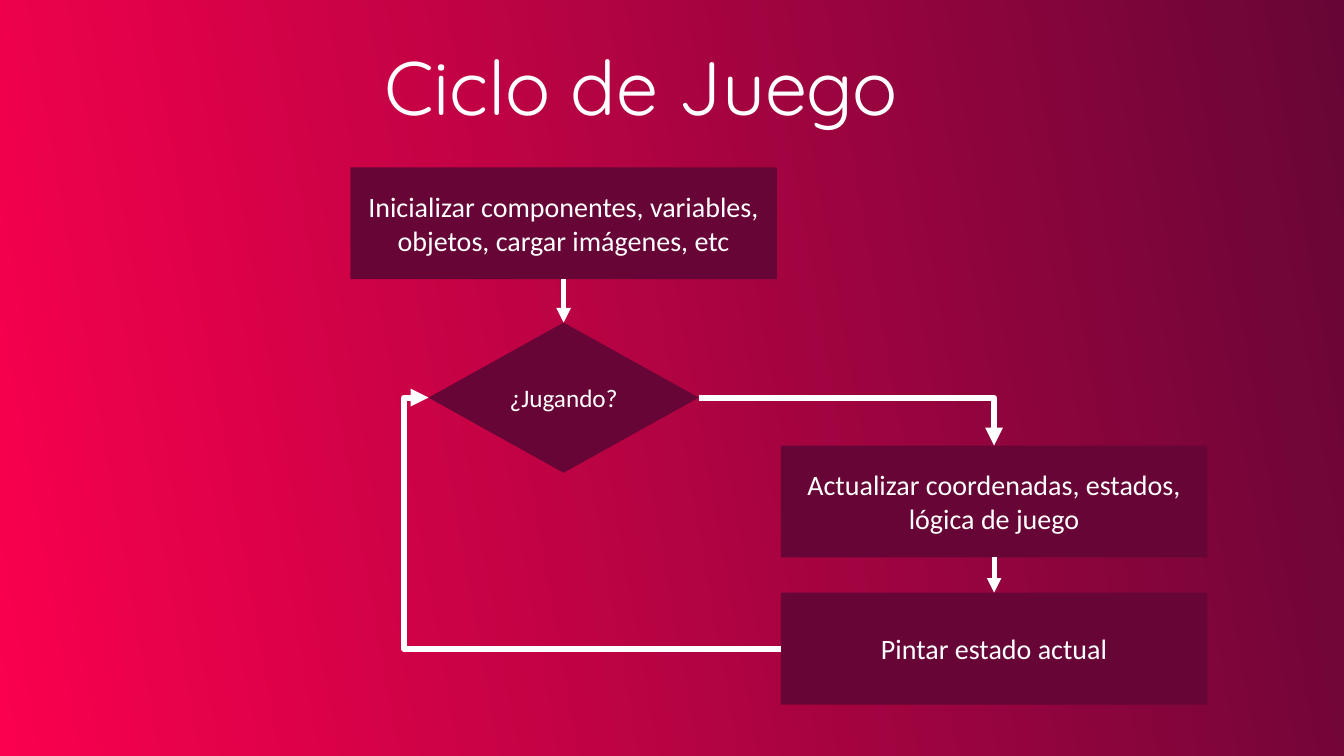
from lxml import etree
from pptx import Presentation
from pptx.dml.color import RGBColor
from pptx.enum.shapes import MSO_CONNECTOR, MSO_SHAPE
from pptx.enum.text import MSO_ANCHOR, MSO_AUTO_SIZE, PP_ALIGN
from pptx.oxml.ns import qn
from pptx.util import Inches, Pt

RECTANGLE, DIAMOND = MSO_SHAPE.RECTANGLE, MSO_SHAPE.DIAMOND
STRAIGHT, ELBOW = MSO_CONNECTOR.STRAIGHT, MSO_CONNECTOR.ELBOW
TOP, LEFT, BOTTOM, RIGHT = range(4)  # connection sites

# Content
TITLE = "Ciclo de Juego"
DARK, BRIGHT, WHITE = "670636", "FA004E", "FFFFFF"
LEFT_AXIS, RIGHT_AXIS = 5.59, 9.86  # centre lines of the two columns
BOX, DECISION = (4.23, 1.11), (2.68, 1.49)

# name: (text, preset, column centre, top, size, font size)
STEPS = {
    "start": ("Inicializar componentes, variables, objetos, cargar imágenes, etc",
              RECTANGLE, LEFT_AXIS, 1.66, BOX, 20),
    "update": ("Actualizar coordenadas, estados, lógica de juego",
               RECTANGLE, RIGHT_AXIS, 4.42, BOX, 20),
    "playing": ("¿Jugando?", DIAMOND, LEFT_AXIS, 3.2, DECISION, 18),
    "paint": ("Pintar estado actual", RECTANGLE, RIGHT_AXIS, 5.88, BOX, 20),
}

# (from, site, to, site, kind, width, preset override, bend as a share of the width)
ARROWS = [
    ("playing", RIGHT, "update", TOP, ELBOW, 4.25, "bentConnector2", None),
    ("paint", LEFT, "playing", LEFT, ELBOW, 4.25, "bentConnector3", 1.07),
    ("start", BOTTOM, "playing", TOP, STRAIGHT, 3.5, None, None),
    ("update", BOTTOM, "paint", TOP, STRAIGHT, 3.5, None, None),
]


def color(value):
    return RGBColor.from_string(value)


def style_text(paragraph, font_name, size, alignment):
    paragraph.alignment = alignment
    paragraph.font.name = font_name
    paragraph.font.size = Pt(size)
    paragraph.font.color.rgb = color(WHITE)


def add_step(slide, text, preset, axis, top, size, font_size):
    width, height = size
    shape = slide.shapes.add_shape(preset, Inches(axis - width / 2), Inches(top),
                                   Inches(width), Inches(height))
    shape.shadow.inherit = False
    shape.fill.solid()
    shape.fill.fore_color.rgb = color(DARK)
    shape.line.fill.background()
    frame = shape.text_frame
    frame.text = text
    frame.word_wrap = True
    frame.vertical_anchor = MSO_ANCHOR.MIDDLE
    style_text(frame.paragraphs[0], "Calibri", font_size, PP_ALIGN.CENTER)
    return shape


def add_arrow(slide, begin, begin_site, end, end_site, kind, width, preset, bend):
    connector = slide.shapes.add_connector(kind, 0, 0, 0, 0)
    connector.begin_connect(begin, begin_site)
    connector.end_connect(end, end_site)
    connector.line.color.rgb = color(WHITE)
    connector.line.width = Pt(width)
    properties = connector._element.spPr
    etree.SubElement(properties.find(qn("a:ln")), qn("a:tailEnd"), type="triangle")
    etree.SubElement(properties, qn("a:effectLst"))
    geometry = properties.find(qn("a:prstGeom"))
    if preset:
        geometry.set("prst", preset)
    if bend:
        etree.SubElement(geometry.find(qn("a:avLst")), qn("a:gd"),
                         name="adj1", fmla=f"val {round(bend * 100000)}")


presentation = Presentation()
presentation.slide_width, presentation.slide_height = Inches(13.33), Inches(7.5)
slide = presentation.slides.add_slide(presentation.slide_layouts[5])

# Background, dark on the right to bright on the left
background = slide.background.fill
background.gradient()
background.gradient_angle = 190  # counter-clockwise
for stop, position, value in zip(background.gradient_stops, (0, 1), (DARK, BRIGHT)):
    stop.position = position
    stop.color.rgb = color(value)

# Title
title = slide.shapes.title
title.left, title.top, title.width, title.height = map(Inches, (3.71, 0.35, 5.44, 1.01))
title.text_frame.text = TITLE
title.text_frame.word_wrap = False
title.text_frame.auto_size = MSO_AUTO_SIZE.SHAPE_TO_FIT_TEXT
title.text_frame.vertical_anchor = MSO_ANCHOR.TOP
style_text(title.text_frame.paragraphs[0], "Quicksand", 54, PP_ALIGN.LEFT)

# Flow chart
steps = {name: add_step(slide, *step) for name, step in STEPS.items()}
for begin, begin_site, end, end_site, *look in ARROWS:
    add_arrow(slide, steps[begin], begin_site, steps[end], end_site, *look)

presentation.save("out.pptx")
